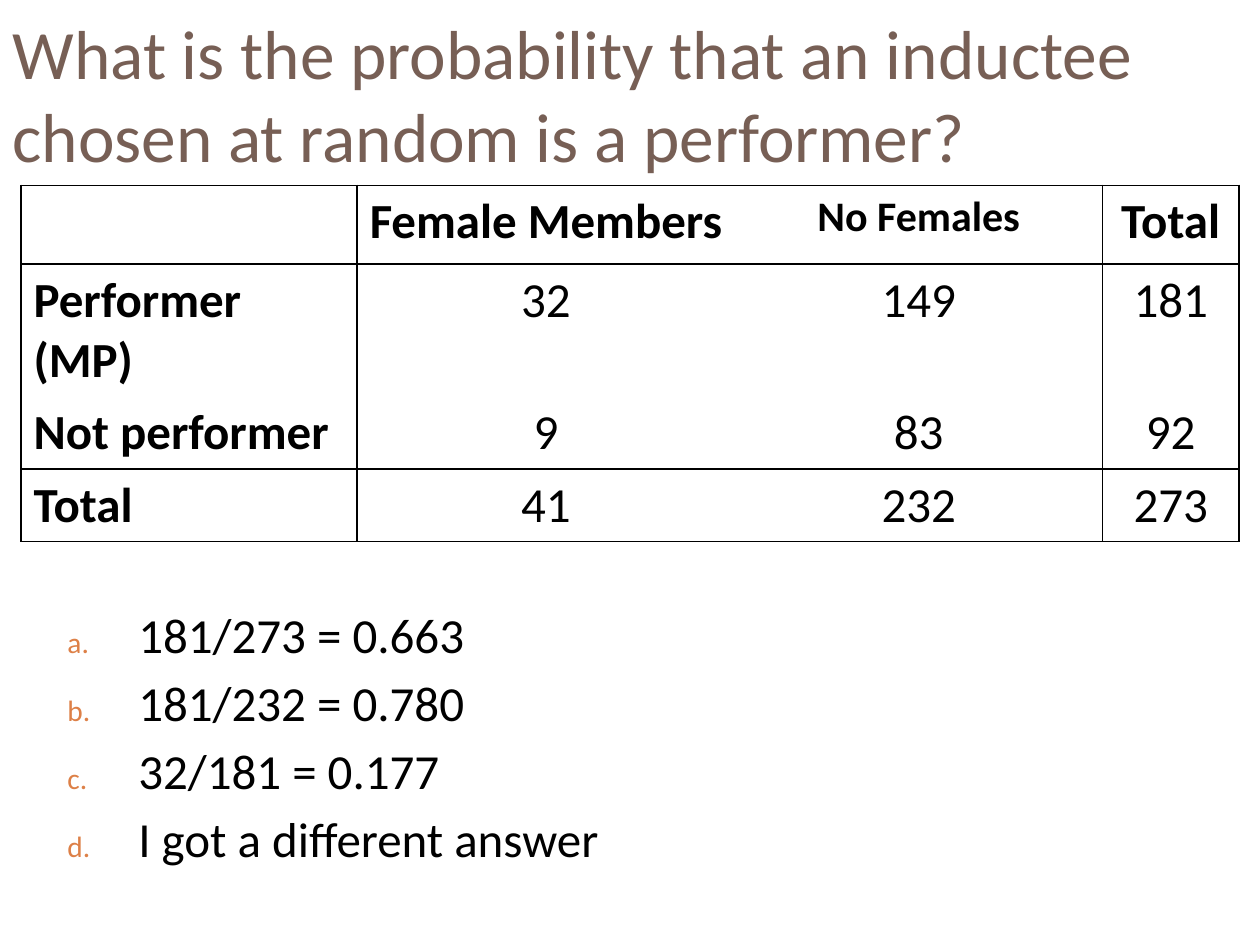
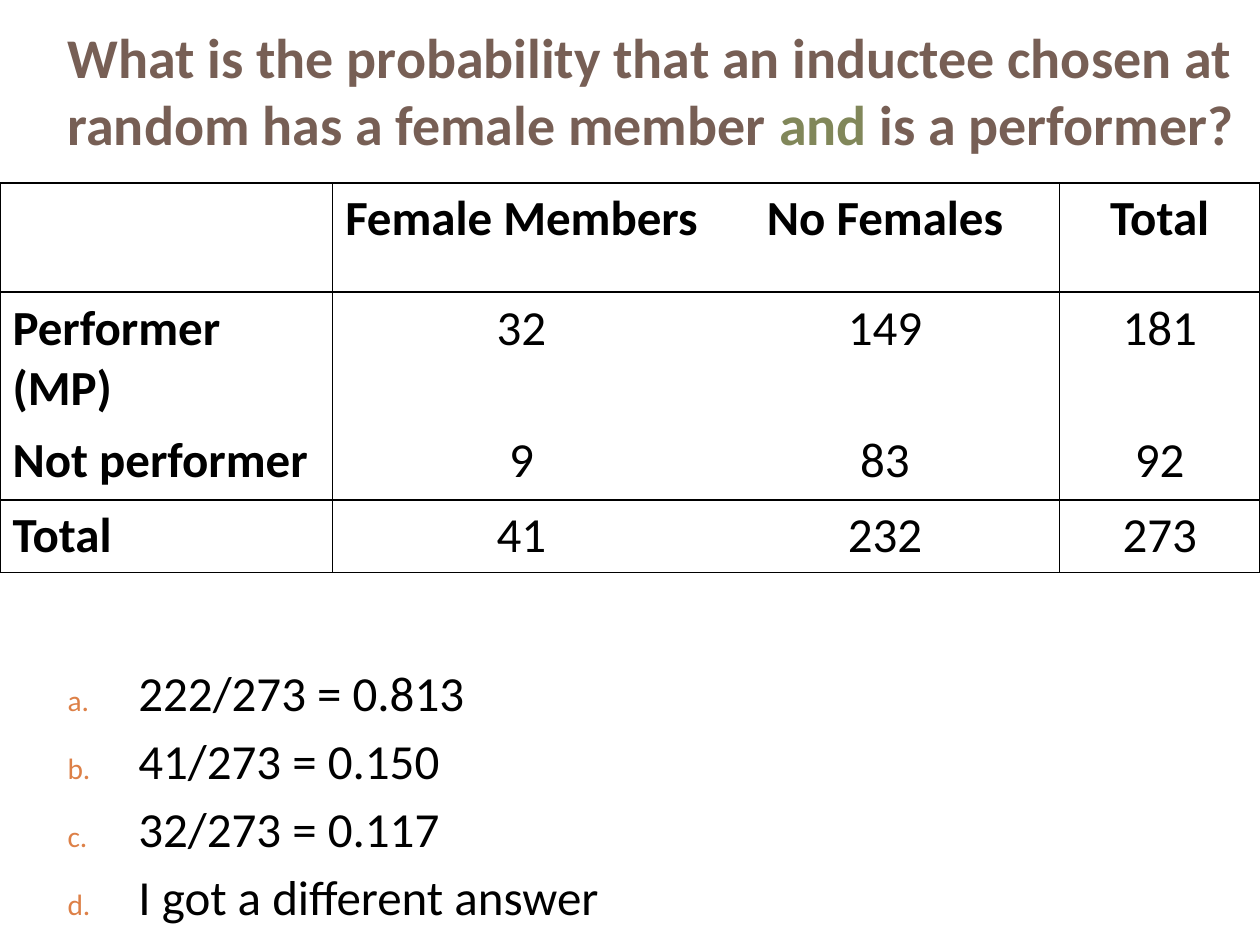
import dataclasses

import pptx
import pptx.dml.color
import pptx.enum.text
import pptx.oxml.ns
import pptx.util
from lxml import etree

Pt = pptx.util.Pt
Align = pptx.enum.text.PP_ALIGN
Anchor = pptx.enum.text.MSO_ANCHOR
Fit = pptx.enum.text.MSO_AUTO_SIZE


@dataclasses.dataclass(frozen=True)
class Theme:
    font: str = "Calibri"
    ink: str = "000000"
    paper: str = "FFFFFF"
    brown: str = "775F55"
    green: str = "81875A"
    orange: str = "DD8047"
    text: float = 28
    small: float = 24
    head: float = 39.6
    subhead: float = 32
    line: float = 1
    gap: float = 5.2


THEME = Theme()
LABELS = ["Performer (MP)", "Not performer", "Total"]
HEADS = ["Female Members", "No Females", "Total"]
COUNTS = [[32, 149], [9, 83]]


def paint(color):
    return pptx.dml.color.RGBColor.from_string(color)


def add_node(parent, tag, **attrs):
    return etree.SubElement(parent, pptx.oxml.ns.qn(tag), **attrs)


def write(para, text, size=THEME.text, color=THEME.ink, bold=False, align=Align.LEFT):
    para.alignment = align
    run = para.add_run()
    run.text = text
    run.font.name = THEME.font
    run.font.size = Pt(size)
    run.font.bold = bold
    run.font.color.rgb = paint(color)


def set_title(slide, box, parts, size, bold=False, indent=0):
    """Fill the title with (text, colour) parts."""
    title = slide.shapes.title
    title.left, title.top, title.width, title.height = map(Pt, box)
    frame = title.text_frame
    frame.word_wrap = True
    frame.auto_size = Fit.NONE
    frame.vertical_anchor = Anchor.MIDDLE
    para = frame.paragraphs[0]
    props = para._p.get_or_add_pPr()
    props.set("marL", str(Pt(indent)))
    props.set("indent", "0")
    for text, color in parts:
        write(para, text, size=size, color=color, bold=bold)


def edge_cell(cell, row, col):
    """Draw all edges but those inside the pairs of middle rows and columns."""
    props = cell._tc.get_or_add_tcPr()
    edges = {"L": col != 2, "R": col != 1, "T": row != 2, "B": row != 1}
    for index, (side, shown) in enumerate(edges.items()):
        line = etree.Element(pptx.oxml.ns.qn(f"a:ln{side}"), w=str(Pt(THEME.line)))
        if shown:
            add_node(add_node(line, "a:solidFill"), "a:srgbClr", val=THEME.ink)
        else:
            add_node(line, "a:noFill")
        props.insert(index, line)


def count_rows():
    """Return the table's text, with both sets of totals worked out."""
    rows = COUNTS + [[sum(pair) for pair in zip(*COUNTS)]]
    body = [[label, *row, sum(row)] for label, row in zip(LABELS, rows)]
    return [["", *HEADS]] + body


def add_counts(slide, left, top, height, widths, heights, sizes=None):
    """Add the two-way table; sizes maps a heading to its own type size."""
    shape = slide.shapes.add_table(
        len(heights), len(widths), Pt(left), Pt(top), Pt(sum(widths)), Pt(height))
    table = shape.table
    table.first_row = table.horz_banding = False
    for column, width in zip(table.columns, widths):
        column.width = Pt(width)
    for row, tall in zip(table.rows, heights):
        row.height = Pt(tall)
    shape.height = Pt(height)
    for r, values in enumerate(count_rows()):
        for c, value in enumerate(values):
            cell = table.cell(r, c)
            cell.fill.solid()
            cell.fill.fore_color.rgb = paint(THEME.paper)
            edge_cell(cell, r, c)
            if value != "":
                write(cell.text_frame.paragraphs[0], str(value),
                      size=(sizes or {}).get(value, THEME.text),
                      bold=r == 0 or c == 0,
                      align=Align.CENTER if c else Align.LEFT)


def letter(para):
    """Give a paragraph a hanging a., b., c. label."""
    props = para._p.get_or_add_pPr()
    props.set("marL", str(Pt(72)))
    props.set("indent", str(Pt(-40.5)))
    add_node(add_node(props, "a:buClr"), "a:srgbClr", val=THEME.orange)
    add_node(props, "a:buSzPct", val="60000")
    add_node(props, "a:buFont", typeface=THEME.font)
    add_node(props, "a:buAutoNum", type="alphaLcPeriod")


def add_choices(slide, box, sums):
    frame = slide.shapes.add_textbox(*map(Pt, box)).text_frame
    frame.word_wrap = True
    for index, text in enumerate(sums + ["I got a different answer"]):
        para = frame.add_paragraph() if index else frame.paragraphs[0]
        letter(para)
        para.space_before = Pt(THEME.gap if index else 0)
        write(para, text)


def main():
    deck = pptx.Presentation()
    deck.slide_width, deck.slide_height = Pt(720), Pt(540)
    layout = deck.slide_layouts.get_by_name("Title Only")

    slide = deck.slides.add_slide(layout)
    set_title(slide, (0, -1.5, 721.5, 109.5), [
        ("What is the probability that an inductee chosen at random is a performer?",
         THEME.brown)], THEME.head)
    add_counts(slide, 12, 106, 173, [192, 216, 210, 78], [45, 46, 37, 37],
               sizes={"No Females": THEME.small})
    add_choices(slide, (0, 342, 468, 198),
                ["181/273 = 0.663", "181/232 = 0.780", "32/181 = 0.177"])

    slide = deck.slides.add_slide(layout)
    set_title(slide, (0, 0, 720, 102), [
        ("What is the probability that an inductee chosen at random has a female member ",
         THEME.brown),
        ("and ", THEME.green),
        ("is a performer?", THEME.brown)], THEME.subhead, bold=True, indent=31.5)
    add_counts(slide, 0, 104.5, 189.5, [190, 216, 199.5, 114.5], [62.5, 43, 43, 25])
    add_choices(slide, (0, 375, 381, 162),
                ["222/273 = 0.813", "41/273 = 0.150", "32/273 = 0.117"])

    deck.save("out.pptx")


if __name__ == "__main__":
    main()
